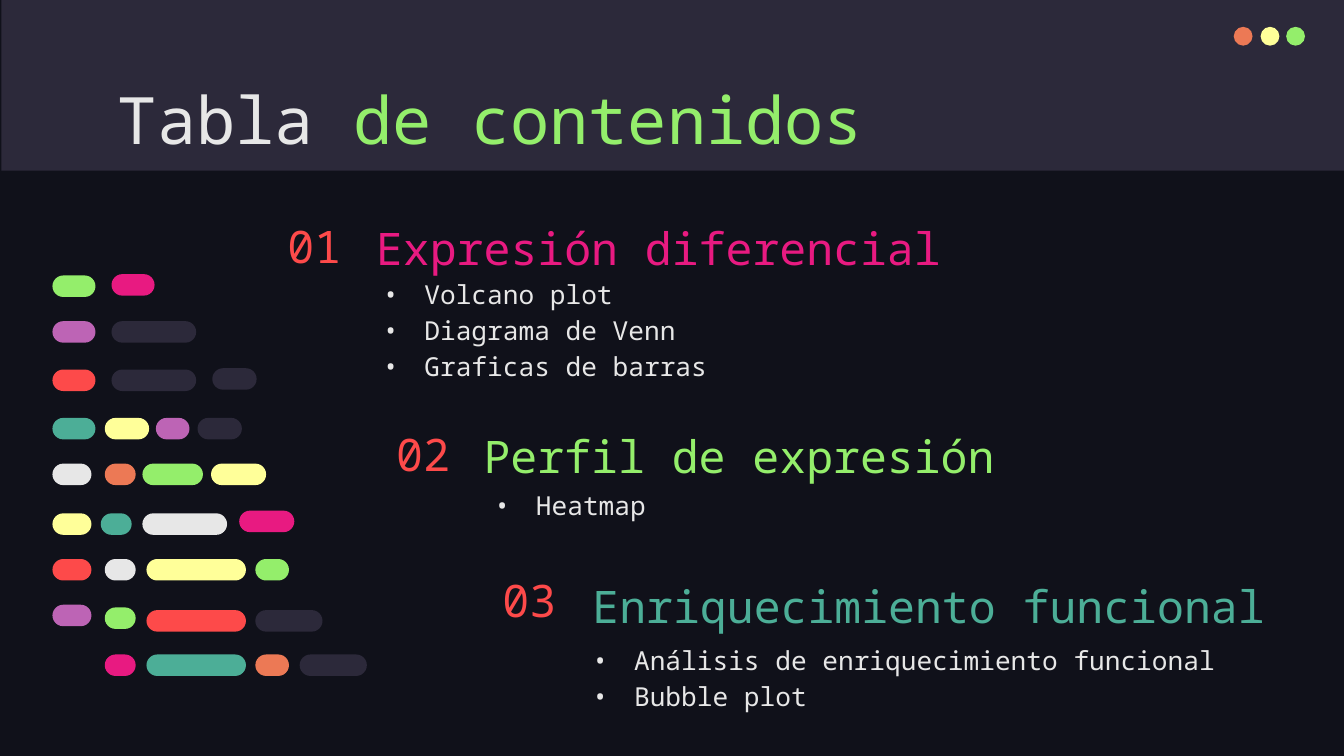
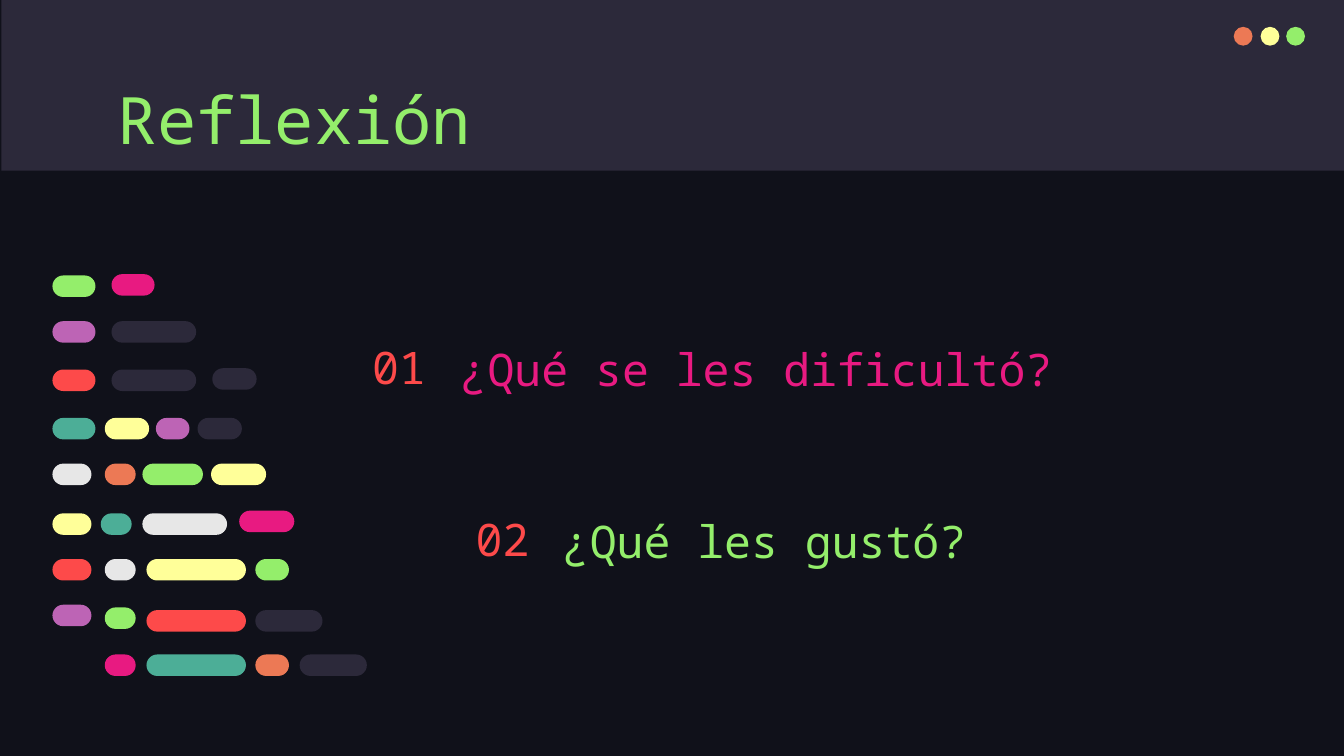
import pptx
import pptx.util
import pptx.dml.color
import pptx.enum.shapes
import pptx.enum.text
import pptx.oxml.ns
import lxml.etree

Inches = pptx.util.Inches
Kind = pptx.enum.shapes.MSO_SHAPE
Anchor = pptx.enum.text.MSO_ANCHOR

FONT = "Noto Sans Mono"
NIGHT, SLATE, WHITE = "10111A", "2C293A", "E7E7E7"
GREEN, PINK, PURPLE, RED = "94EE6B", "E81A81", "BD64B5", "FD4A4A"
TEAL, YELLOW, ORANGE = "4CAE97", "FFFF99", "EC7955"

DOTS = [(9.18, ORANGE), (9.38, YELLOW), (9.57, GREEN)]
PILLS = [
    (2.05, [(0.39, 0.32, GREEN)]),
    (2.04, [(0.83, 0.32, PINK)]),
    (2.39, [(0.39, 0.32, PURPLE), (0.83, 0.63, SLATE)]),
    (2.75, [(0.39, 0.32, RED), (0.83, 0.63, SLATE)]),
    (2.74, [(1.58, 0.33, SLATE)]),
    (3.11, [(0.39, 0.32, TEAL), (0.78, 0.33, YELLOW), (1.16, 0.25, PURPLE), (1.47, 0.33, SLATE)]),
    (3.45, [(0.39, 0.29, WHITE), (0.78, 0.23, ORANGE), (1.06, 0.45, GREEN), (1.57, 0.41, YELLOW)]),
    (3.82, [(0.39, 0.29, YELLOW), (0.75, 0.23, TEAL), (1.06, 0.63, WHITE)]),
    (3.8, [(1.78, 0.41, PINK)]),
    (4.16, [(0.39, 0.29, RED), (0.78, 0.23, WHITE), (1.09, 0.74, YELLOW), (1.9, 0.25, GREEN)]),
    (4.5, [(0.39, 0.29, PURPLE)]),
    (4.52, [(0.78, 0.23, GREEN)]),
    (4.54, [(1.09, 0.74, RED), (1.9, 0.5, SLATE)]),
    (4.87, [(0.78, 0.23, PINK), (1.09, 0.74, TEAL), (1.9, 0.25, ORANGE), (2.23, 0.5, SLATE)]),
]


def color(code):
    return pptx.dml.color.RGBColor.from_string(code)


class Deck:
    """Holds the shared style and the current slide."""

    def __init__(self):
        self.file = pptx.Presentation()
        self.file.slide_width = Inches(10)
        self.file.slide_height = Inches(10 * 9 / 16)
        self.slide = None

    def start(self, *title):
        self.slide = self.file.slides.add_slide(self.file.slide_layouts[6])
        fill = self.slide.background.fill
        fill.solid()
        fill.fore_color.rgb = color(NIGHT)
        self.shape(Kind.RECTANGLE, (0.01, 0, 10, 1.27), SLATE)
        for left, tint in DOTS:
            self.shape(Kind.OVAL, (left, 0.2, 0.14, 0.14), tint)
        para = self.text((0.78, 0.49, 8.43, 0.63), [""], 35, WHITE)
        for words, tint in title:
            run = para.add_run()
            run.text = words
            run.font.color.rgb = color(tint)
        for top, row in PILLS:
            for left, width, tint in row:
                pill = self.shape(Kind.ROUNDED_RECTANGLE, (left, top, width, 0.16), tint)
                pill.adjustments[0] = 0.5

    def shape(self, kind, box, tint):
        item = self.slide.shapes.add_shape(kind, *map(Inches, box))
        item.shadow.inherit = False
        item.fill.solid()
        item.fill.fore_color.rgb = color(tint)
        item.line.fill.background()
        return item

    def text(self, box, lines, size, tint, anchor=Anchor.TOP, space=1.0, bullet=False):
        frame = self.slide.shapes.add_textbox(*map(Inches, box)).text_frame
        frame.word_wrap = True
        frame.vertical_anchor = anchor
        frame.margin_left = frame.margin_right = Inches(0.1)
        frame.margin_top = frame.margin_bottom = Inches(0.1)
        for index, line in enumerate(lines):
            para = frame.add_paragraph() if index else frame.paragraphs[0]
            if line:
                para.add_run().text = line
            para.line_spacing = space
            if bullet:
                self.bullet(para, tint)
            para.font.name = FONT
            para.font.size = pptx.util.Pt(size)
            para.font.color.rgb = color(tint)
        return para

    def bullet(self, para, tint):
        name = pptx.oxml.ns.qn
        props = para._p.get_or_add_pPr()
        props.set("marL", str(Inches(0.31)))
        props.set("indent", str(-Inches(0.31)))
        paint = lxml.etree.SubElement(props, name("a:buClr"))
        lxml.etree.SubElement(paint, name("a:srgbClr"), val=tint)
        lxml.etree.SubElement(props, name("a:buFont"), typeface=FONT)
        lxml.etree.SubElement(props, name("a:buChar"), char="•")

    def topic(self, number, left, top, label, box, tint, height=0.43):
        self.text((left, top, 0.66, height), [number], 24, RED, Anchor.MIDDLE)
        start, width = box
        self.text((start, top, width, 0.53), [label], 24, tint, Anchor.BOTTOM, 1.15)

    def items(self, left, top, width, lines):
        self.text((left, top, width, 0.63), lines, 14, WHITE, space=1.15, bullet=True)


def main():
    deck = Deck()
    deck.start(("Tabla ", WHITE), ("de contenidos", GREEN))
    deck.topic("01", 2.04, 1.61, "Expresión diferencial", (2.7, 6.47), PINK)
    deck.topic("02", 2.85, 3.16, "Perfil de expresión", (3.5, 4.6), GREEN)
    deck.topic("03", 3.64, 4.28, "Enriquecimiento funcional", (4.31, 5.5), TEAL, 0.36)
    deck.items(2.75, 1.94, 4.6, ["Volcano plot", "Diagrama de Venn", "Graficas de barras"])
    deck.items(3.58, 3.51, 4.6, ["Heatmap"])
    deck.items(4.31, 4.66, 5.35, ["Análisis de enriquecimiento funcional", "Bubble plot"])

    deck.start(("Reflexión", GREEN))
    deck.topic("01", 2.67, 2.51, "¿Qué se les dificultó?", (3.33, 6.47), PINK)
    deck.topic("02", 3.44, 3.79, "¿Qué les gustó?", (4.09, 4.6), GREEN)
    deck.file.save("out.pptx")


if __name__ == "__main__":
    main()
